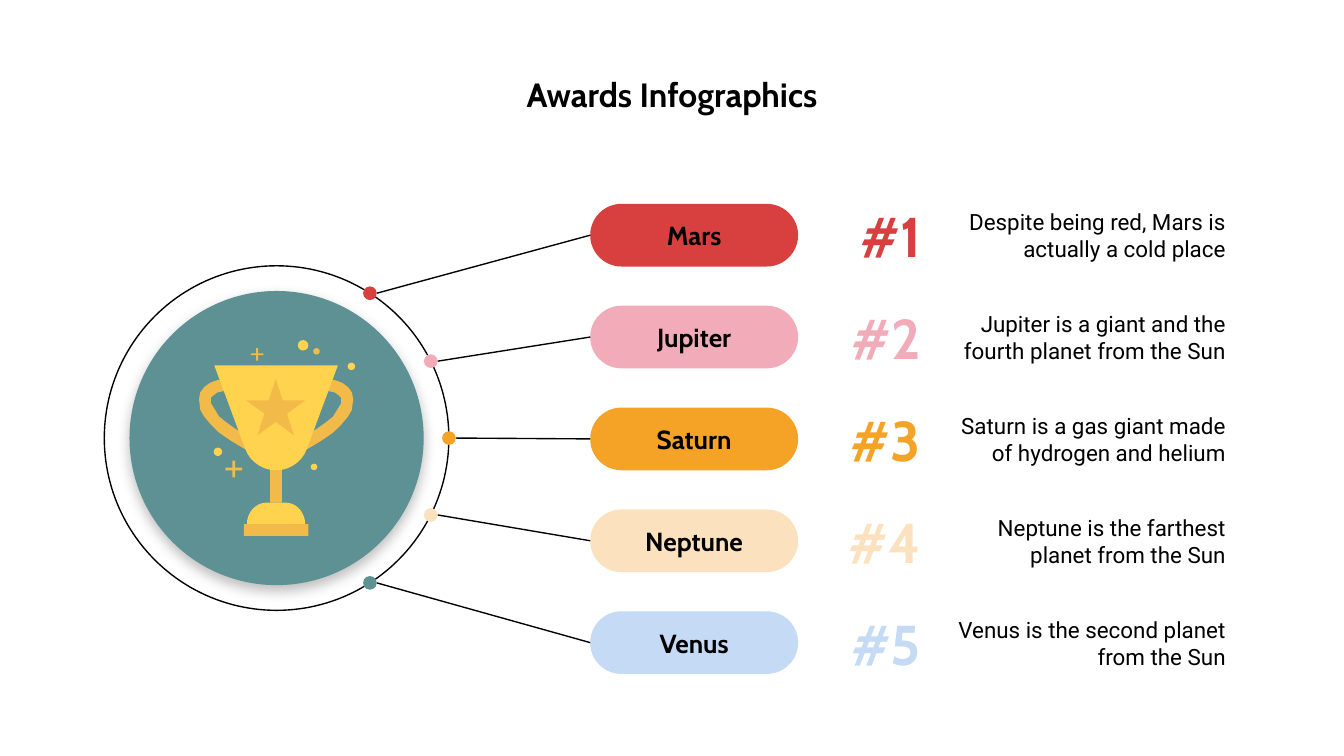
from math import cos, radians, sin

from lxml.etree import SubElement
from pptx import Presentation
from pptx.dml.color import RGBColor
from pptx.enum.shapes import MSO_CONNECTOR as Connector, MSO_SHAPE as Shape
from pptx.enum.text import MSO_ANCHOR as Anchor, PP_ALIGN as Align
from pptx.oxml.ns import qn
from pptx.util import Pt

COLORS = {
    "black": "000000",
    "teal": "5D9194",
    "red": "D83F3F",
    "pink": "F2ABB9",
    "orange": "F5A326",
    "cream": "FCE1BE",
    "blue": "C4DAF5",
    "gold": "F2BA49",
    "yellow": "FFD34D",
}


def paint(shape, color):
    shape.shadow.inherit = False
    shape.fill.solid()
    shape.fill.fore_color.rgb = RGBColor.from_string(COLORS[color])
    shape.line.fill.background()


def write(shape, text, size, font, color, align, bold=True, anchor=Anchor.MIDDLE):
    frame = shape.text_frame
    frame.word_wrap = True
    frame.vertical_anchor = anchor
    frame.margin_left = frame.margin_right = Pt(7.2)
    frame.margin_top = frame.margin_bottom = Pt(7.2)
    paragraph = frame.paragraphs[0]
    paragraph.alignment = align
    run = paragraph.add_run()
    run.text = text
    run.font.size = Pt(size)
    run.font.name = font
    run.font.bold = bold
    run.font.color.rgb = RGBColor.from_string(COLORS[color])


presentation = Presentation()
presentation.slide_width = Pt(720)
presentation.slide_height = Pt(405)
slide = presentation.slides.add_slide(presentation.slide_layouts[6])
shapes = slide.shapes

title = shapes.add_textbox(Pt(36), Pt(32.4), Pt(648), Pt(38.2))
write(title, "Awards Infographics", 18, "Cabin", "black", Align.CENTER, anchor=Anchor.TOP)

center_x, center_y = 148.2, 234.7
ring_radius, disc_radius, dot_radius = 92.3, 78.8, 3.65

ring = shapes.add_shape(
    Shape.OVAL, Pt(center_x - ring_radius), Pt(center_y - ring_radius),
    Pt(2 * ring_radius), Pt(2 * ring_radius))
ring.shadow.inherit = False
ring.fill.background()
ring.line.color.rgb = RGBColor.from_string(COLORS["black"])
ring.line.width = Pt(0.75)

disc = shapes.add_shape(
    Shape.OVAL, Pt(center_x - disc_radius), Pt(center_y - disc_radius),
    Pt(2 * disc_radius), Pt(2 * disc_radius))
paint(disc, "teal")
effects = disc._element.spPr.find(qn("a:effectLst"))
shadow = SubElement(
    effects, qn("a:outerShdw"), blurRad=str(Pt(6.8)), dist=str(Pt(3)),
    dir="5400000", algn="bl", rotWithShape="0")
shadow_color = SubElement(shadow, qn("a:srgbClr"), val=COLORS["black"])
SubElement(shadow_color, qn("a:alpha"), val="25000")

planets = [
    ("Mars", "Despite being red, Mars is actually a cold place", "red", "red", -57.2),
    ("Jupiter", "Jupiter is a giant and the fourth planet from the Sun", "pink", "pink", -26.5),
    ("Saturn", "Saturn is a gas giant made of hydrogen and helium", "orange", "orange", 0),
    ("Neptune", "Neptune is the farthest planet from the Sun", "cream", "cream", 26.5),
    ("Venus", "Venus is the second planet from the Sun", "blue", "teal", 57.2),
]
pill_left, pill_height, row_pitch = 316.2, 33.6, 54.57

for index, (name, description, color, dot_color, angle) in enumerate(planets):
    pill_top = 109.2 + index * row_pitch
    text_top = 102.7 + index * row_pitch
    dot_x = center_x + ring_radius * cos(radians(angle))
    dot_y = center_y + ring_radius * sin(radians(angle))

    pill = shapes.add_shape(
        Shape.ROUNDED_RECTANGLE, Pt(pill_left), Pt(pill_top), Pt(111.4), Pt(pill_height))
    pill.adjustments[0] = 0.5
    paint(pill, color)
    write(pill, name, 14, "Cabin", "black", Align.CENTER)

    connector = shapes.add_connector(
        Connector.STRAIGHT, Pt(pill_left), Pt(pill_top + pill_height / 2),
        Pt(dot_x + dot_radius), Pt(dot_y))
    connector.line.color.rgb = RGBColor.from_string(COLORS["black"])
    connector.line.width = Pt(0.75)
    SubElement(connector._element.spPr, qn("a:effectLst"))

    dot = shapes.add_shape(
        Shape.OVAL, Pt(dot_x - dot_radius), Pt(dot_y - dot_radius),
        Pt(2 * dot_radius), Pt(2 * dot_radius))
    paint(dot, dot_color)

    rank = shapes.add_textbox(Pt(447.1), Pt(text_top), Pt(53.3), Pt(46.8))
    write(rank, f"#{index + 1}", 30, "Cabin", color, Align.RIGHT)
    detail = shapes.add_textbox(Pt(500.4), Pt(text_top), Pt(163.4), Pt(46.8))
    write(detail, description, 12, "Roboto", "black", Align.RIGHT, bold=False)

trophy = shapes.add_group_shape()
axis = 147.9
stem = trophy.shapes.add_shape(Shape.RECTANGLE, Pt(144.7), Pt(234.7), Pt(6.3), Pt(34.6))
paint(stem, "gold")

left_handle = [
    (125.3, 203.8), (120.2, 203), (115.9, 203.8), (112.3, 205.2), (109.4, 207.4),
    (107.3, 210.2), (106.6, 213.8), (107.3, 219.6), (109.4, 223.2), (113, 227.5),
    (117.4, 231.8), (123.8, 236.2), (131, 240.5), (136.1, 242.6), (139, 236.9),
    (131.8, 233.3), (126, 229.7), (121, 226.1), (117.4, 223.2), (115.2, 219.6),
    (113, 216), (113, 213.1), (114.5, 211.7), (116.6, 210.2), (120.2, 209.5),
    (123.8, 210.2),
]
right_handle = [(2 * axis - x, y) for x, y in left_handle]
cup = [(axis - 33.1, 195.8), (axis + 33.1, 195.8)] + [
    (axis + 17.6 * cos(radians(angle)), 234.4 + 17.6 * sin(radians(angle)))
    for angle in range(20, 161, 10)]
base = [
    (axis + side * 5 + 10.6 * cos(radians(angle)), 280.8 + 11.5 * sin(radians(angle)))
    for side, start in ((-1, 180), (1, 270)) for angle in range(start, start + 91, 10)]

for outline, color in (
        (left_handle, "gold"), (right_handle, "gold"), (cup, "yellow"), (base, "yellow")):
    points = [(Pt(x), Pt(y)) for x, y in outline]
    builder = trophy.shapes.build_freeform(*points[0], scale=1)
    builder.add_line_segments(points[1:], close=True)
    paint(builder.convert_to_shape(), color)

ornaments = [
    (Shape.RECTANGLE, 130.6, 280.8, 34.6, 6.3, "gold"),
    (Shape.STAR_5_POINT, 131.9, 203, 31.6, 30.2, "gold"),
    (Shape.CROSS, 120.8, 246.8, 8.9, 8.9, "gold"),
    (Shape.CROSS, 134.4, 186.5, 6.7, 6.7, "gold"),
    (Shape.OVAL, 114.5, 239.8, 4.5, 4.5, "yellow"),
    (Shape.OVAL, 166.5, 248.4, 3.5, 3.5, "yellow"),
    (Shape.OVAL, 186.2, 194.3, 4, 4, "yellow"),
    (Shape.OVAL, 159.6, 182.2, 5.6, 5.6, "yellow"),
    (Shape.OVAL, 167.8, 186.5, 3.5, 3.5, "gold"),
]
for kind, left, top, width, height, color in ornaments:
    ornament = trophy.shapes.add_shape(kind, Pt(left), Pt(top), Pt(width), Pt(height))
    if kind == Shape.CROSS:
        ornament.adjustments[0] = 0.42
    paint(ornament, color)

presentation.save("out.pptx")
